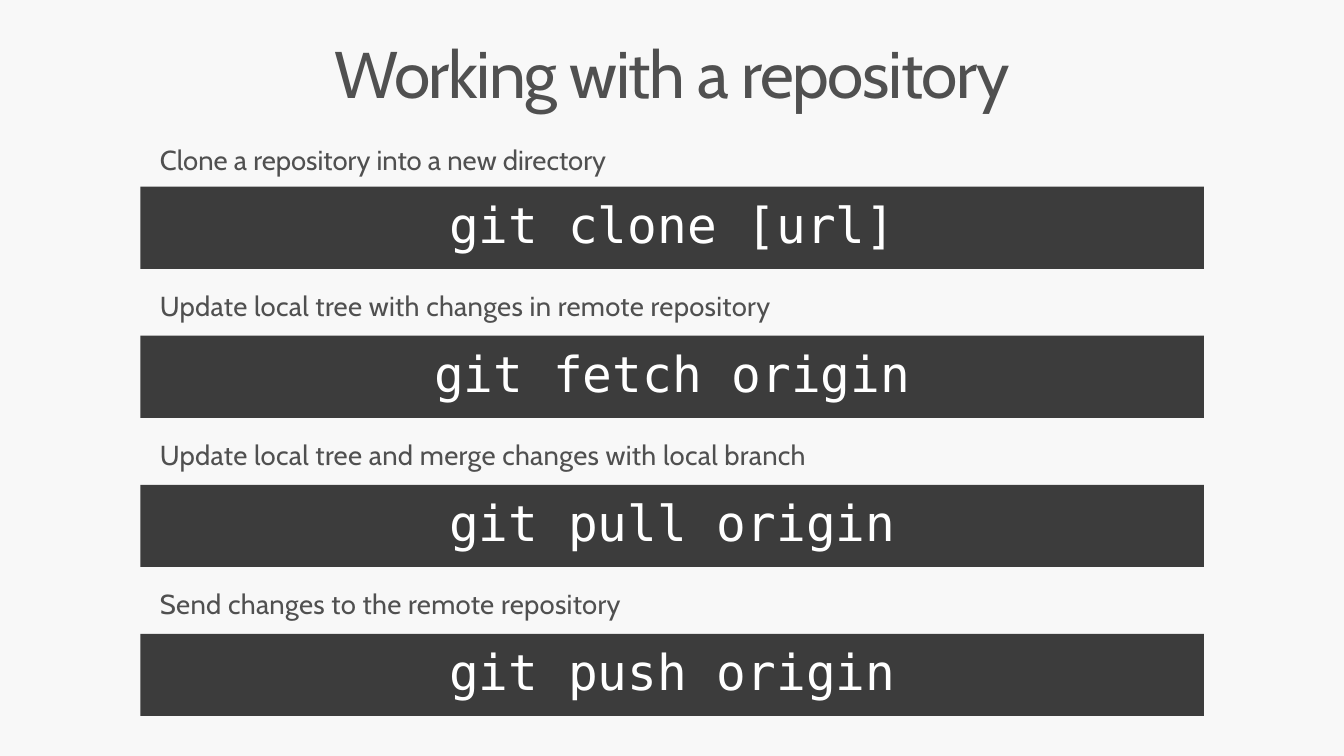
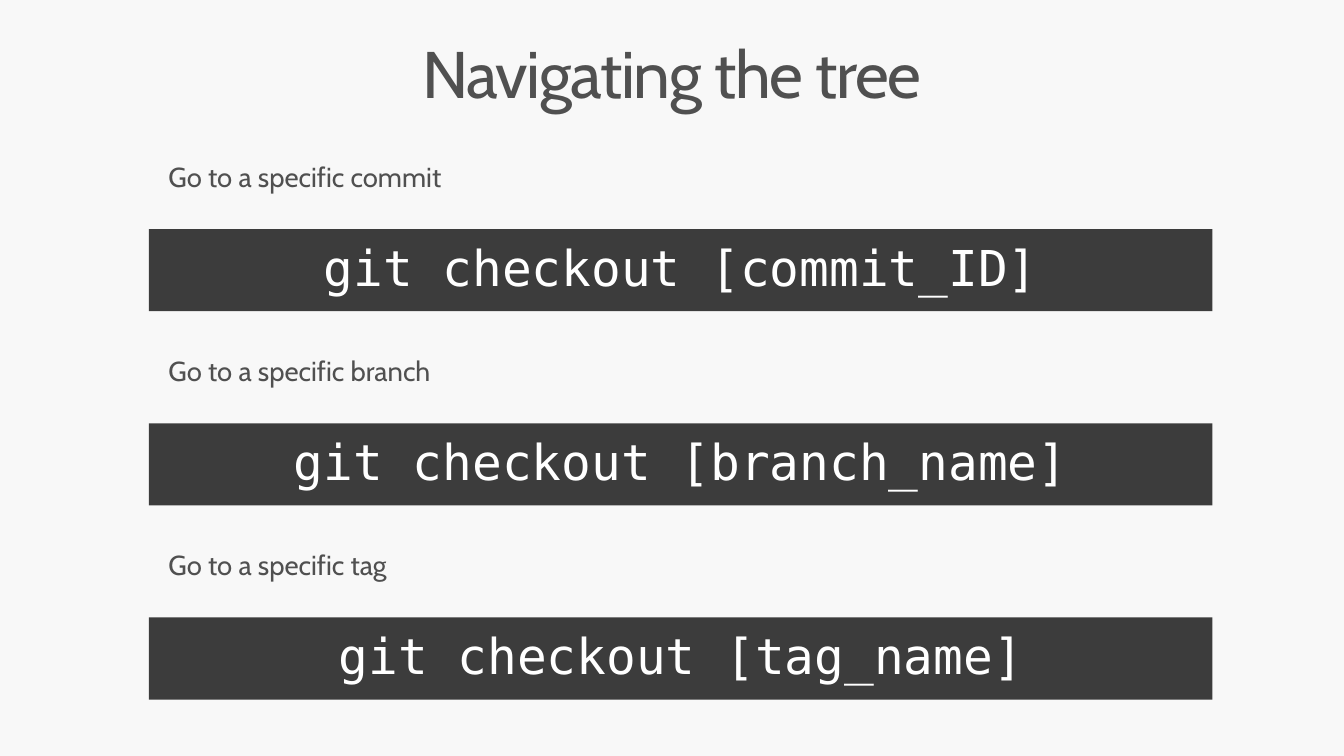
import pptx
import pptx.dml.color
import pptx.enum.shapes
import pptx.enum.text
import pptx.util

Cm = pptx.util.Cm
Pt = pptx.util.Pt
CENTER = pptx.enum.text.PP_ALIGN.CENTER
LEFT = pptx.enum.text.PP_ALIGN.LEFT

COLORS = {"background": "F8F8F8", "text": "505050", "bar": "3C3C3C", "code": "FFFFFF"}
TEXT_FONT = "Cabin"
CODE_FONT = "DejaVu Sans Mono"


def rgb(name):
    return pptx.dml.color.RGBColor.from_string(COLORS[name])


class Deck:
    BAR_WIDTH = 27.33
    BAR_HEIGHT = 2.11
    CAPTION_INDENT = 0.25

    def __init__(self):
        self.presentation = pptx.Presentation()
        self.presentation.slide_width = Cm(34.54)
        self.presentation.slide_height = Cm(19.43)
        self.slide = None

    def add_slide(self, title):
        self.slide = self.presentation.slides.add_slide(self.presentation.slide_layouts[6])
        fill = self.slide.background.fill
        fill.solid()
        fill.fore_color.rgb = rgb("background")
        self.title(title)

    def set_line(self, shape, text, font, size, color, align, line_spacing, tracking=0, insets=None):
        """Fill a shape with one line; tracking is in points, insets are (side, top) in cm."""
        frame = shape.text_frame
        frame.word_wrap = True
        if insets:
            side, top = insets
            frame.margin_left = frame.margin_right = Cm(side)
            frame.margin_top = frame.margin_bottom = Cm(top)
        frame.text = text
        paragraph = frame.paragraphs[0]
        paragraph.alignment = align
        paragraph.line_spacing = line_spacing
        run = paragraph.runs[0]
        run.font.name = font
        run.font.size = Pt(size)
        run.font.color.rgb = rgb(color)
        if tracking:
            run.font._element.set("spc", str(round(tracking * 100)))

    def title(self, text):
        box = self.slide.shapes.add_textbox(Cm(0.76), Cm(0.81), Cm(33.02), Cm(2.54))
        self.set_line(box, text, TEXT_FONT, 48, "text", CENTER, 0.9, -1, (0.4, 0.25))

    def caption(self, text, left, top, tracking):
        box = self.slide.shapes.add_textbox(Cm(left), Cm(top), Cm(26.82), Cm(1.32))
        self.set_line(box, text, TEXT_FONT, 20, "text", LEFT, 1.25, tracking)
        box.text_frame.auto_size = pptx.enum.text.MSO_AUTO_SIZE.SHAPE_TO_FIT_TEXT

    def command_bar(self, text, left, top):
        bar = self.slide.shapes.add_shape(
            pptx.enum.shapes.MSO_SHAPE.RECTANGLE,
            Cm(left), Cm(top), Cm(self.BAR_WIDTH), Cm(self.BAR_HEIGHT))
        bar.shadow.inherit = False
        bar.fill.solid()
        bar.fill.fore_color.rgb = rgb("bar")
        bar.line.fill.background()
        bar.text_frame.vertical_anchor = pptx.enum.text.MSO_ANCHOR.MIDDLE
        self.set_line(bar, text, CODE_FONT, 36, "code", CENTER, 0.9, insets=(0.5, 0.4))

    def commands(self, rows, left, top, step):
        """Stack command bars; lift is how far a caption starts above its bar."""
        for index, (caption, command, lift, tracking) in enumerate(rows):
            bar_top = top + index * step
            self.command_bar(command, left, bar_top)
            self.caption(caption, left + self.CAPTION_INDENT, bar_top - lift, tracking)


def main():
    deck = Deck()

    deck.add_slide("Working with a repository")
    deck.commands([
        ("Clone a repository into a new directory", "git clone [url]", 1.45, 0),
        ("Update local tree with changes in remote repository", "git fetch origin", 1.53, 0.2),
        ("Update local tree and merge changes with local branch", "git pull origin", 1.53, 0.2),
        ("Send changes to the remote repository", "git push origin", 1.53, 0.2),
    ], left=3.61, top=4.8, step=3.83)

    deck.add_slide("Navigating the tree")
    targets = [("commit", "commit_ID"), ("branch", "branch_name"), ("tag", "tag_name")]
    deck.commands([
        (f"Go to a specific {target}", f"git checkout [{argument}]", 2.11, 0)
        for target, argument in targets
    ], left=3.83, top=5.89, step=4.99)

    deck.presentation.save("out.pptx")


if __name__ == "__main__":
    main()
